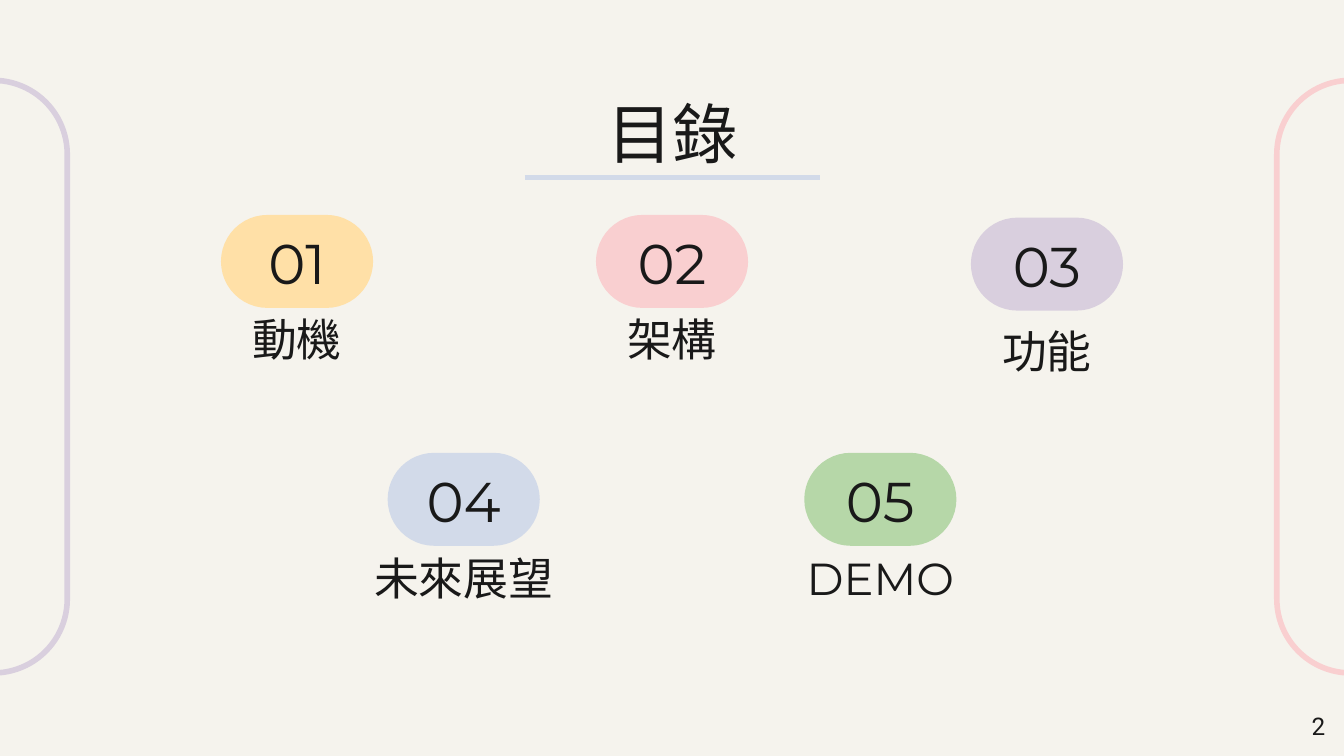
from lxml import etree
from pptx import Presentation
from pptx.dml.color import RGBColor
from pptx.enum.shapes import MSO_CONNECTOR, MSO_SHAPE
from pptx.enum.text import MSO_ANCHOR, MSO_AUTO_SIZE, PP_ALIGN
from pptx.oxml.ns import qn
from pptx.util import Inches, Pt

W, H = 10, 10 * 9 / 16
INK, CREAM = "191919", "F5F3ED"
YELLOW, PINK, LILAC, BLUE, GREEN = "FFE0A7", "F9CFD0", "D9CFDE", "D2DAE9", "B6D7A8"
PILL_W, PILL_H = 1.09, 0.65
LABEL_W, LABEL_H = 3.1, 0.58
NUMBER_W = 0.77


def rgb(color):
    return RGBColor.from_string(color)


def place(sp, x, y, w, h):
    sp.left, sp.top, sp.width, sp.height = (Inches(v) for v in (x, y, w, h))


def write(sp, text, size, font="Montserrat", color=INK,
          align=PP_ALIGN.CENTER, anchor=MSO_ANCHOR.TOP):
    tf = sp.text_frame
    tf.word_wrap = True
    tf.auto_size = MSO_AUTO_SIZE.NONE
    tf.vertical_anchor = anchor
    tf.margin_left = tf.margin_right = tf.margin_top = tf.margin_bottom = Inches(0.1)
    p = tf.paragraphs[0]
    p.alignment = align
    r = p.add_run()
    r.text = text
    r.font.name, r.font.size = font, Pt(size)
    r.font.color.rgb = rgb(color)


def add_text(s, box, text, size, **fmt):
    sp = s.shapes.add_textbox(*(Inches(v) for v in box))
    write(sp, text, size, **fmt)


def add_pill(s, box, color, filled=True):
    sp = s.shapes.add_shape(MSO_SHAPE.ROUNDED_RECTANGLE, *(Inches(v) for v in box))
    sp.adjustments[0] = 0.5
    sp.shadow.inherit = False
    if filled:
        sp.fill.solid()
        sp.fill.fore_color.rgb = rgb(color)
    else:
        sp.fill.background()
    sp.line.color.rgb = rgb(color)
    sp.line.width = Pt(3)
    return sp


def add_frames(s):
    """Outlined capsules standing half off the left and right edges."""
    length, width = 4.41, 1.1
    for center, color in ((-0.05, LILAC), (W + 0.05, PINK)):
        box = (center - length / 2, (H - width) / 2 - 0.01, length, width)
        add_pill(s, box, color, filled=False).rotation = 90


def add_heading(s, box, text):
    """Title with a rule centred below it."""
    x, y, w, h = box
    place(s.shapes.title, *box)
    write(s.shapes.title, text, 35)
    rule_y, half = Inches(y + h + 0.1), 1.1
    rule = s.shapes.add_connector(MSO_CONNECTOR.STRAIGHT, Inches(x + w / 2 - half), rule_y,
                                  Inches(x + w / 2 + half), rule_y)
    rule.line.color.rgb = rgb(BLUE)
    rule.line.width = Pt(3)
    etree.SubElement(rule._element.spPr, qn("a:effectLst"))


def add_entry(s, center, top, label_drop, number, label, color):
    """Numbered pill with its section name below."""
    add_pill(s, (center - PILL_W / 2, top, PILL_W, PILL_H), color)
    add_text(s, (center - NUMBER_W / 2, top - 0.02, NUMBER_W, PILL_H), number, 30)
    add_text(s, (center - LABEL_W / 2, top + label_drop, LABEL_W, LABEL_H), label, 24,
             anchor=MSO_ANCHOR.BOTTOM)


def main():
    prs = Presentation()
    prs.slide_width, prs.slide_height = Inches(W), Inches(H)
    s = prs.slides.add_slide(prs.slide_layouts[5])
    s.background.fill.solid()
    s.background.fill.fore_color.rgb = rgb(CREAM)

    add_frames(s)
    add_heading(s, (0.79, 0.59, 8.43, 0.63), "目錄")

    # Contents: three entries above, two below, spread about the middle
    mid, upper, lower = W / 2, 2.79, 1.55
    entries = [
        (mid - upper, 1.62, 0.62, "動機", YELLOW),
        (mid, 1.62, 0.62, "架構", PINK),
        (mid + upper, 1.64, 0.69, "功能", LILAC),
        (mid - lower, 3.39, 0.63, "未來展望", BLUE),
        (mid + lower, 3.39, 0.63, "DEMO", GREEN),
    ]
    for i, (center, top, drop, label, color) in enumerate(entries, 1):
        add_entry(s, center, top, drop, f"{i:02d}", label, color)

    # Page number
    add_text(s, (9.36, 5.19, 0.6, 0.43), "2", 13, font="Roboto", align=PP_ALIGN.RIGHT)
    prs.save("out.pptx")


if __name__ == "__main__":
    main()
